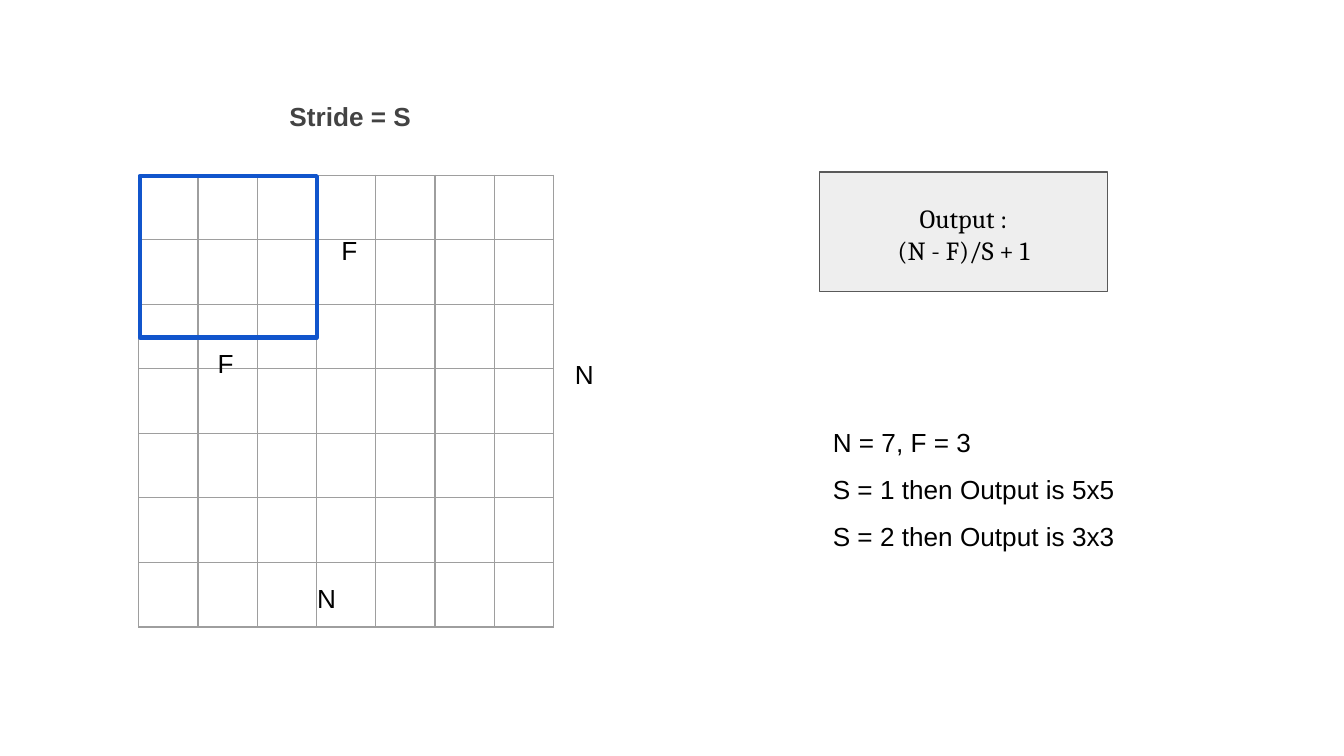
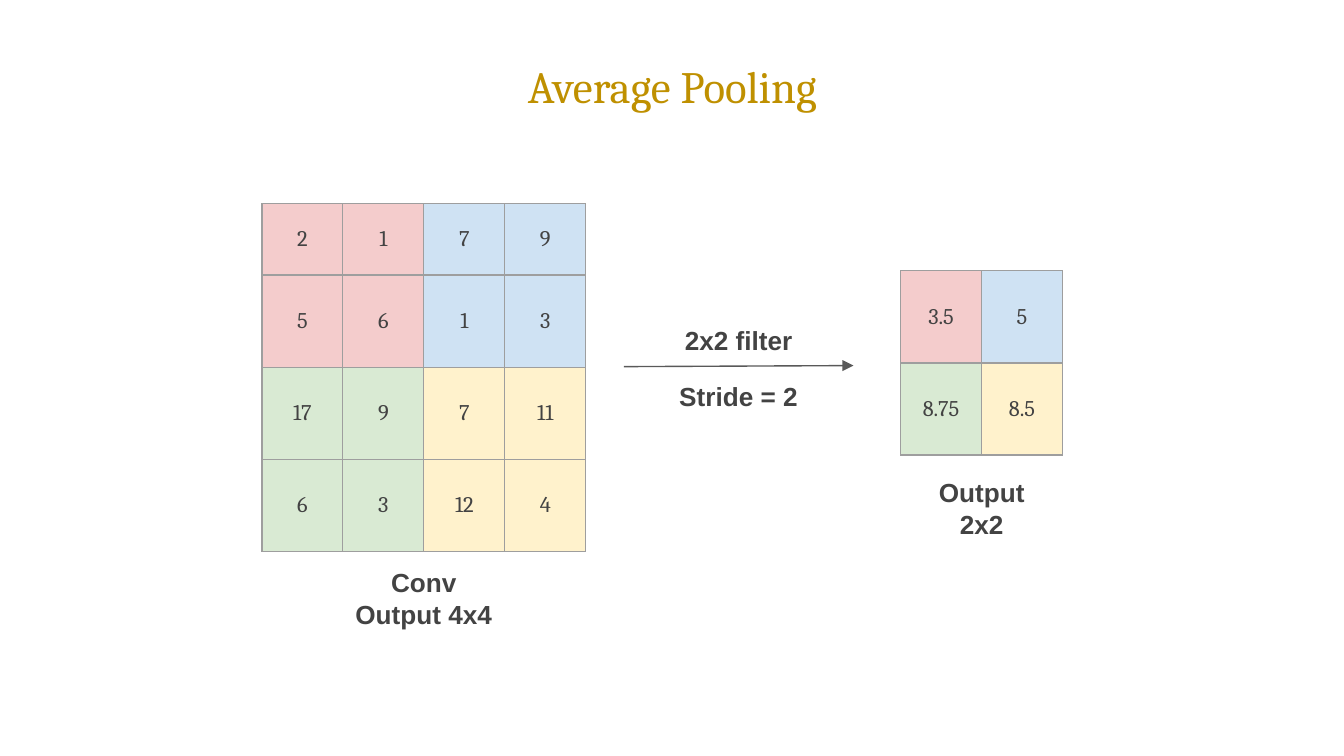
from dataclasses import dataclass

from lxml import etree
from pptx import Presentation
from pptx import util as u
from pptx.dml import color
from pptx.enum import shapes, text
from pptx.oxml import ns


@dataclass(frozen=True)
class Theme:
    title: str = "BF9000"
    label: str = "434343"
    body: str = "000000"
    grid: str = "9E9E9E"
    outline: str = "595959"
    panel: str = "EEEEEE"
    window: str = "1155CC"
    regions: tuple = (("F4CCCC", "CFE2F3"), ("D9EAD3", "FFF2CC"))
    sans: str = "Arial"
    serif: str = "Cambria"
    title_size: int = 24
    body_size: int = 14
    cell_size: int = 12
    thin: float = 0.75
    thick: float = 2.25
    inset: float = 0.25


def rgb(value):
    return color.RGBColor.from_string(value)


class Painter:
    def __init__(self, deck, theme):
        self.deck = deck
        self.theme = theme
        self.page = None

    def new_page(self, layout):
        self.page = self.deck.slides.add_slide(self.deck.slide_layouts[layout])

    def set_words(self, frame, words, size, font, ink, bold=False, centred=True, spacing=None):
        frame.text = words
        frame.word_wrap = True
        frame.vertical_anchor = text.MSO_ANCHOR.MIDDLE
        inset = u.Cm(self.theme.inset)
        frame.margin_left = frame.margin_right = inset
        frame.margin_top = frame.margin_bottom = inset
        for para in frame.paragraphs:
            para.alignment = text.PP_ALIGN.CENTER if centred else text.PP_ALIGN.LEFT
            para.line_spacing = spacing
            for span in para.runs:
                span.font.size = u.Pt(size)
                span.font.name = font
                span.font.bold = bold
                span.font.color.rgb = rgb(ink)

    def title(self, words, left, top, width, height):
        box = self.page.shapes.title
        box.left, box.top, box.width, box.height = map(u.Cm, (left, top, width, height))
        theme = self.theme
        self.set_words(box.text_frame, words, theme.title_size, theme.serif, theme.title)
        box.text_frame.auto_size = text.MSO_AUTO_SIZE.NONE
        box.text_frame.paragraphs[0].space_after = u.Pt(16)

    def note(self, words, left, top, width=1.27, height=0.97, **style):
        box = self.page.shapes.add_textbox(*map(u.Cm, (left, top, width, height)))
        theme = self.theme
        style.setdefault("ink", theme.body)
        self.set_words(box.text_frame, words, theme.body_size, theme.sans, **style)

    def label(self, words, left, top, width=3.48):
        self.note(words, left, top, width, ink=self.theme.label, bold=True)

    def rectangle(self, left, top, width, height, line, weight, fill=None):
        box = self.page.shapes.add_shape(
            shapes.MSO_SHAPE.RECTANGLE, *map(u.Cm, (left, top, width, height)))
        box.shadow.inherit = False
        box.line.color.rgb = rgb(line)
        box.line.width = u.Pt(weight)
        if fill:
            box.fill.solid()
            box.fill.fore_color.rgb = rgb(fill)
        else:
            box.fill.background()
        return box

    def panel(self, words, *place):
        theme = self.theme
        box = self.rectangle(*place, theme.outline, theme.thin, theme.panel)
        self.set_words(box.text_frame, words, theme.body_size, theme.serif, theme.body)
        box.text_frame.paragraphs[0].line_spacing = 1.15

    def border(self, cell):
        properties = cell._tc.get_or_add_tcPr()
        for side in "LRTB":
            line = etree.SubElement(properties, ns.qn(f"a:ln{side}"),
                                    w=str(u.Pt(self.theme.thin)))
            fill = etree.SubElement(line, ns.qn("a:solidFill"))
            etree.SubElement(fill, ns.qn("a:srgbClr"), val=self.theme.grid)

    def matrix(self, left, top, column_width, row_heights, rows, coloured=True):
        theme = self.theme
        columns = len(rows[0])
        place = (left, top, column_width * columns, sum(row_heights))
        table = self.page.shapes.add_table(len(rows), columns, *map(u.Cm, place)).table
        table.first_row = table.horz_banding = False
        for column in table.columns:
            column.width = u.Cm(column_width)
        for row, height in zip(table.rows, row_heights):
            row.height = u.Cm(height)
        for i, values in enumerate(rows):
            for j, value in enumerate(values):
                cell = table.cell(i, j)
                self.border(cell)
                if coloured:
                    cell.fill.solid()
                    region = theme.regions[2 * i // len(rows)][2 * j // columns]
                    cell.fill.fore_color.rgb = rgb(region)
                    self.fill_cell(cell, value)
                else:
                    cell.fill.background()

    def fill_cell(self, cell, value):
        theme = self.theme
        self.set_words(cell.text_frame, str(value), theme.cell_size, theme.serif, theme.label)
        cell.vertical_anchor = text.MSO_ANCHOR.MIDDLE
        cell.margin_left = cell.margin_right = u.Cm(theme.inset)
        cell.margin_top = cell.margin_bottom = u.Cm(theme.inset)

    def arrow(self, *ends):
        connector = self.page.shapes.add_connector(
            shapes.MSO_CONNECTOR.STRAIGHT, *map(u.Cm, ends))
        connector.line.color.rgb = rgb(self.theme.outline)
        connector.line.width = u.Pt(self.theme.thin)
        properties = connector._element.spPr
        etree.SubElement(properties.find(ns.qn("a:ln")), ns.qn("a:tailEnd"), type="triangle")
        etree.SubElement(properties, ns.qn("a:effectLst"))


def stride_page(painter):
    theme = painter.theme
    painter.new_page(6)
    painter.matrix(2.62, 3.31, 1.12, [1.22] * 7, [[""] * 7] * 7, coloured=False)
    painter.rectangle(2.64, 3.33, 3.35, 3.05, theme.window, theme.thick)
    painter.label("Stride = S", 4.88, 1.7)
    painter.panel("Output :\n(N - F)/S + 1", 15.49, 3.25, 5.44, 2.26)
    for letter, left, top in (("N", 5.54, 10.82), ("N", 10.41, 6.58),
                              ("F", 3.63, 6.38), ("F", 5.97, 4.24)):
        painter.note(letter, left, top)
    painter.note("N = 7, F = 3\nS = 1 then Output is 5x5\nS = 2 then Output is 3x3",
                 15.49, 7.42, 6.63, 3.35, centred=False, spacing=1.5)


def pooling_page(painter):
    painter.new_page(5)
    painter.title("Average Pooling", 2.62, 1.02, 20.17, 1.19)
    values = [[2, 1, 7, 9], [5, 6, 1, 3], [17, 9, 7, 11], [6, 3, 12, 4]]
    painter.matrix(4.95, 3.85, 1.53, [1.35] + [1.74] * 3, values)
    painter.label("Conv Output 4x4", 6.27, 10.82)
    painter.matrix(17.02, 5.12, 1.53, [1.74] * 2, [[3.5, 5], [8.75, 8.5]])
    painter.arrow(11.79, 6.93, 16.13, 6.91)
    painter.label("2x2 filter", 12.22, 5.94)
    painter.label("Stride = 2", 12.22, 7.01)
    painter.label("Output\n2x2", 17.02, 9.12, 3.07)


def main():
    deck = Presentation()
    deck.slide_width, deck.slide_height = u.Cm(25.4), u.Cm(14.29)
    painter = Painter(deck, Theme())
    stride_page(painter)
    pooling_page(painter)
    deck.save("out.pptx")


if __name__ == "__main__":
    main()
